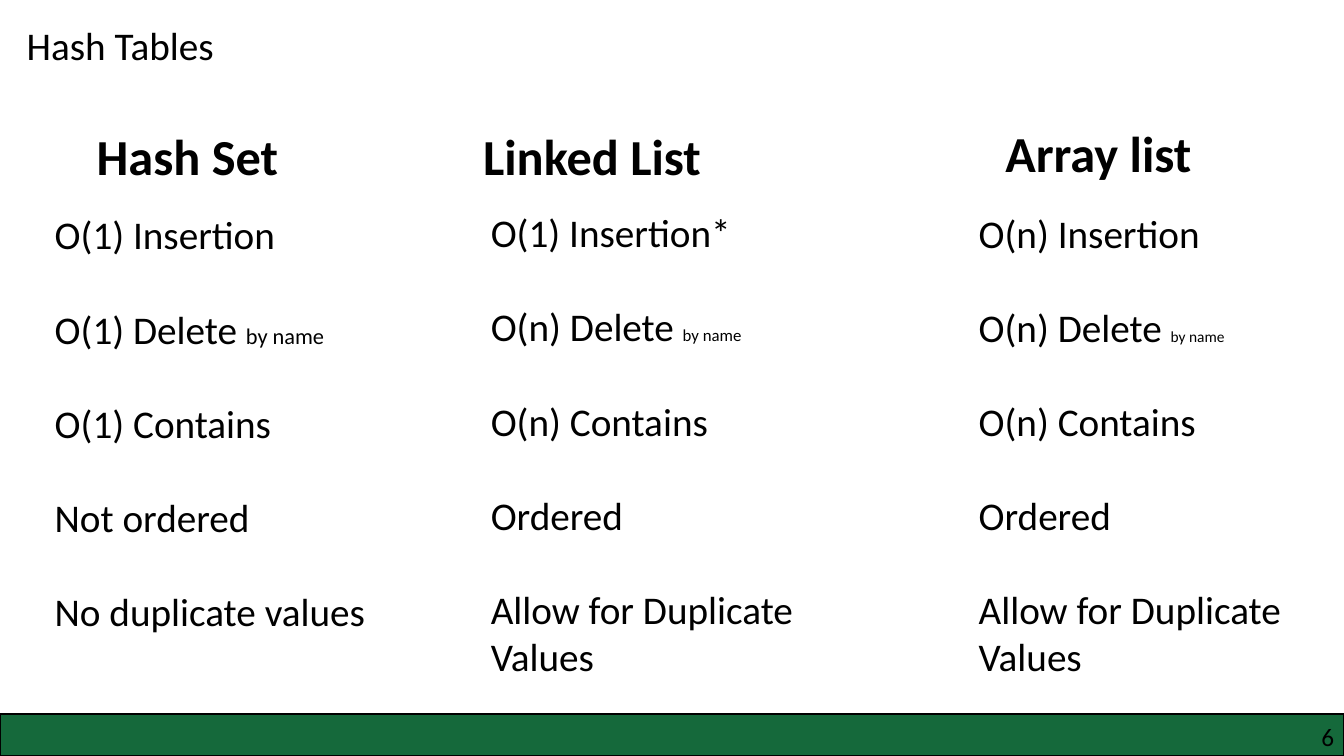
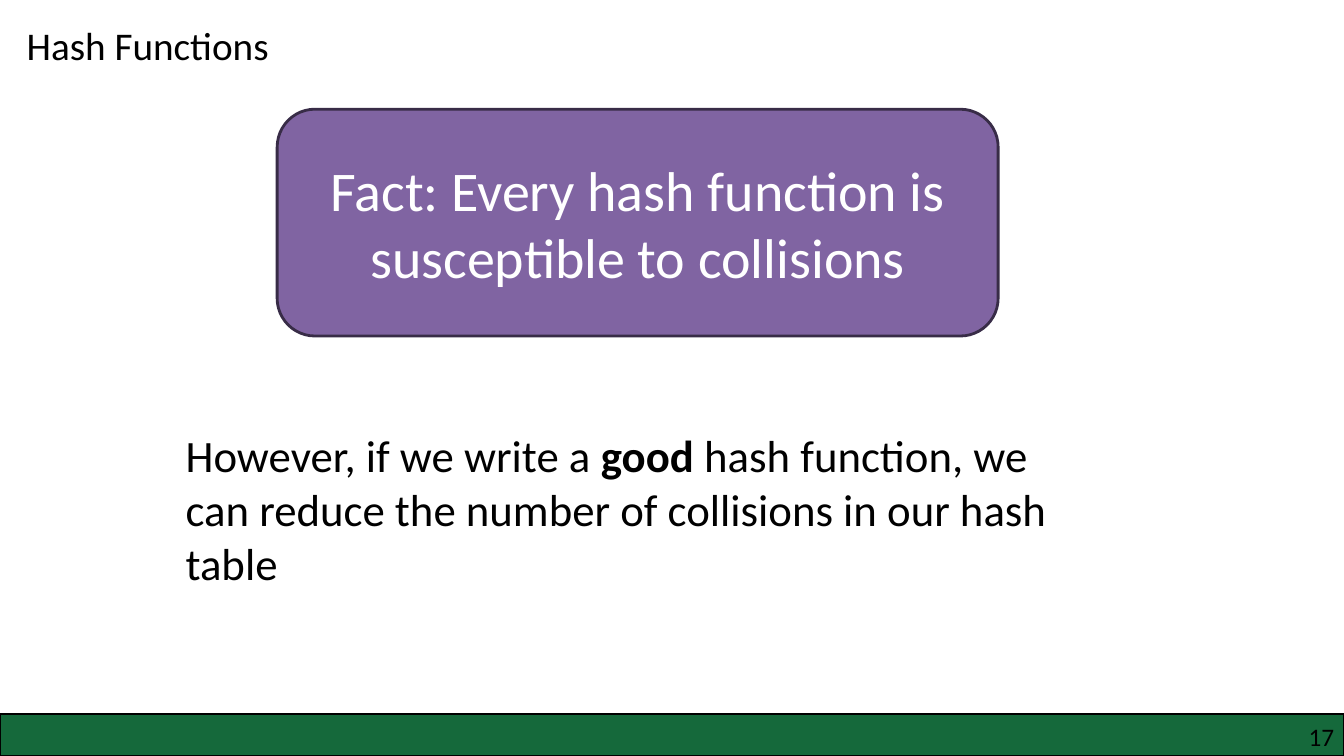
from dataclasses import dataclass

import pptx
import pptx.dml.color
import pptx.enum.shapes
import pptx.enum.text
import pptx.presentation
import pptx.shapes.autoshape
import pptx.slide
import pptx.text.text
import pptx.util

Pt = pptx.util.Pt
RGBColor = pptx.dml.color.RGBColor
Align = pptx.enum.text.PP_ALIGN
Preset = pptx.enum.shapes.MSO_SHAPE

FONT = "Calibri"
BLACK = RGBColor(0x00, 0x00, 0x00)
WHITE = RGBColor(0xFF, 0xFF, 0xFF)
GREEN = RGBColor(0x15, 0x69, 0x3B)
PURPLE = RGBColor(0x80, 0x64, 0xA2)
DARK_PURPLE = RGBColor(0x38, 0x2C, 0x47)

WIDTH, HEIGHT = 960, 540
BAND_HEIGHT = 30
BODY_SIZE = 28
ROW_GAP = 33.6


@dataclass(frozen=True)
class Box:
    left: float
    top: float
    width: float
    height: float

    def lengths(self) -> tuple[pptx.util.Pt, ...]:
        return Pt(self.left), Pt(self.top), Pt(self.width), Pt(self.height)


@dataclass(frozen=True)
class Run:
    text: str
    size: float = BODY_SIZE
    bold: bool = False
    color: RGBColor = BLACK


@dataclass(frozen=True)
class Column:
    heading: str
    heading_box: Box
    body_box: Box
    insertion: str
    lookup_cost: str
    note_size: float
    order: str
    duplicates: str

    def rows(self) -> list[list[Run]]:
        return [
            [Run(self.insertion)],
            [Run(f"{self.lookup_cost} Delete "), Run("by name", self.note_size)],
            [Run(f"{self.lookup_cost} Contains")],
            [Run(self.order)],
            [Run(self.duplicates)],
        ]


COLUMNS = [
    Column("Hash Set", Box(62, 86, 170, 51), Box(32, 147, 262, 312),
           "O(1) Insertion", "O(1)", 16, "Not ordered", "No duplicate values"),
    Column("Linked List", Box(338, 86, 207, 51), Box(343.5, 145.5, 234, 346),
           "O(1) Insertion*", "O(n)", 12, "Ordered", "Allow for Duplicate Values"),
    Column("Array list", Box(711, 84, 172, 51), Box(692, 146, 237, 346),
           "O(n) Insertion", "O(n)", 11, "Ordered", "Allow for Duplicate Values"),
]


def add_runs(p: pptx.text.text._Paragraph, runs: list[Run]) -> None:
    for run in runs:
        r = p.add_run()
        r.text = run.text
        r.font.name = FONT
        r.font.size = Pt(run.size)
        r.font.bold = run.bold
        r.font.color.rgb = run.color


def add_text(s: pptx.slide.Slide, box: Box, paragraphs: list[list[Run]],
             gap: float = 0) -> pptx.text.text.TextFrame:
    tf = s.shapes.add_textbox(*box.lengths()).text_frame
    tf.word_wrap = True
    for i, runs in enumerate(paragraphs):
        p = tf.add_paragraph() if i else tf.paragraphs[0]
        if i and gap:
            p.space_before = Pt(gap)
        add_runs(p, runs)
    return tf


def add_filled(s: pptx.slide.Slide, preset: Preset, box: Box, fill: RGBColor,
               line: RGBColor, weight: float) -> pptx.shapes.autoshape.Shape:
    sp = s.shapes.add_shape(preset, *box.lengths())
    sp.shadow.inherit = False
    sp.fill.solid()
    sp.fill.fore_color.rgb = fill
    sp.line.color.rgb = line
    sp.line.width = Pt(weight)
    return sp


def add_slide(prs: pptx.presentation.Presentation, title: str, number: int) -> pptx.slide.Slide:
    s = prs.slides.add_slide(prs.slide_layouts[6])
    band = Box(0, HEIGHT - BAND_HEIGHT, WIDTH, BAND_HEIGHT)
    add_filled(s, Preset.RECTANGLE, band, GREEN, BLACK, 1)
    tf = add_text(s, Box(732, 515, 221, 22), [[Run(str(number), 18)]])
    tf.margin_left = tf.margin_right = tf.margin_top = tf.margin_bottom = Pt(0)
    tf.paragraphs[0].alignment = Align.RIGHT
    add_text(s, Box(12, 12, 400, 41), [[Run(title)]])
    return s


def add_comparison(prs: pptx.presentation.Presentation) -> None:
    s = add_slide(prs, "Hash Tables", 6)
    for column in COLUMNS:
        add_text(s, column.heading_box, [[Run(column.heading, 36, True)]])
        add_text(s, column.body_box, column.rows(), ROW_GAP)


def add_collisions(prs: pptx.presentation.Presentation) -> None:
    s = add_slide(prs, "Hash Functions", 17)
    sp = add_filled(s, Preset.ROUNDED_RECTANGLE, Box(198, 78, 515, 162),
                    PURPLE, DARK_PURPLE, 2)
    tf = sp.text_frame
    tf.word_wrap = True
    tf.vertical_anchor = pptx.enum.text.MSO_ANCHOR.MIDDLE
    p = tf.paragraphs[0]
    p.alignment = Align.CENTER
    add_runs(p, [Run("Fact: Every hash function is susceptible to collisions", 40, color=WHITE)])
    add_text(s, Box(125.5, 302, 666, 124), [[
        Run("However, if we write a ", 32),
        Run("good", 32, True),
        Run(" hash function, we can reduce the number of collisions in our hash table", 32),
    ]])


def main() -> None:
    prs = pptx.Presentation()
    prs.slide_width, prs.slide_height = Pt(WIDTH), Pt(HEIGHT)
    add_comparison(prs)
    add_collisions(prs)
    prs.save("out.pptx")


if __name__ == "__main__":
    main()
